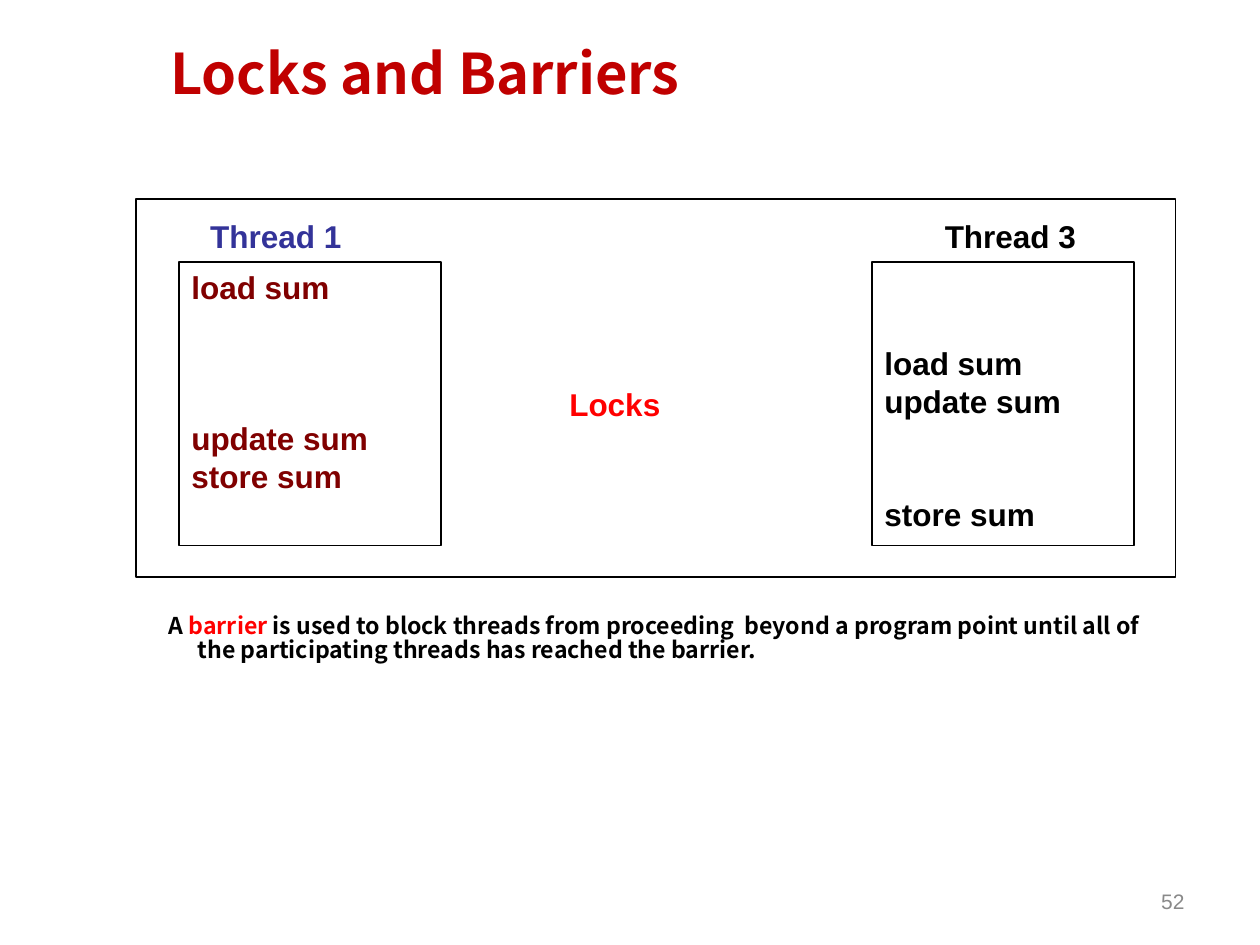
"""Build the slide on locks and barriers."""
from dataclasses import dataclass

from pptx import Presentation
from pptx.dml.color import RGBColor
from pptx.enum.shapes import MSO_SHAPE
from pptx.enum.text import MSO_ANCHOR, PP_ALIGN
from pptx.util import Inches, Pt

LINE = 21.6


@dataclass
class Step:
    """A line of a thread, with the number of idle lines before it."""
    text: str
    idle: int = 0


@dataclass
class Thread:
    """A thread with its box and its label."""
    name: str
    left: float
    label: float
    hue: str
    ink: str
    steps: list[Step]


THREADS = [
    Thread("Thread 1", 1.42, 1.57, "333399", "800000",
           [Step("load sum"), Step("update sum", 3), Step("store sum")]),
    Thread("Thread 3", 6.92, 7.4, "000000", "000000",
           [Step("load sum", 2), Step("update sum"), Step("store sum", 2)]),
]


def style(font, size: float, ink: str, face: str = "Arial", bold: bool = True) -> None:
    """Set size, colour, face and weight of a font."""
    font.size, font.name, font.bold = Pt(size), face, bold
    font.color.rgb = RGBColor.from_string(ink)


def add_frame(slide, left: float, top: float, wide: float, high: float):
    """Draw a hollow black rectangle."""
    shape = slide.shapes.add_shape(
        MSO_SHAPE.RECTANGLE, Inches(left), Inches(top), Inches(wide), Inches(high))
    shape.shadow.inherit = False
    shape.fill.background()
    shape.line.color.rgb = RGBColor.from_string("000000")
    shape.line.width = Pt(1)
    return shape


def add_label(slide, text: str, left: float, top: float, wide: float, ink: str,
              size: float = 18, bold: bool = True):
    """Add one line of text and return its frame."""
    box = slide.shapes.add_textbox(Inches(left), Inches(top), Inches(wide), Inches(0.4))
    frame = box.text_frame
    frame.word_wrap = False
    frame.text = text
    style(frame.paragraphs[0].runs[0].font, size, ink, bold=bold)
    return frame


def add_thread(slide, thread: Thread) -> None:
    """Draw a thread's box, steps and label."""
    frame = add_frame(slide, thread.left, 2.08, 2.08, 2.25).text_frame
    frame.word_wrap = True
    frame.vertical_anchor = MSO_ANCHOR.TOP
    frame.margin_top = Inches(0.05 + thread.steps[0].idle * LINE / 72)
    frame.text = "\n".join(step.text for step in thread.steps)
    for row, (para, step) in enumerate(zip(frame.paragraphs, thread.steps)):
        para.alignment = PP_ALIGN.LEFT
        if row and step.idle:
            para.space_before = Pt(step.idle * LINE)
        style(para.runs[0].font, 18, thread.ink)
    add_label(slide, thread.name, thread.label, 1.67, 1.24, thread.hue)


def add_title(slide, text: str) -> None:
    """Place and format the title."""
    title = slide.shapes.title
    title.left, title.top = Inches(1.25), Inches(0)
    title.width, title.height = Inches(8.56), Inches(1.14)
    frame = title.text_frame
    frame.text = text
    frame.vertical_anchor = MSO_ANCHOR.MIDDLE
    para = frame.paragraphs[0]
    para.alignment = PP_ALIGN.LEFT
    style(para.runs[0].font, 32, "C00000", "Noto Sans CJK KR")


def add_note(slide) -> None:
    """Add the sentence that defines a barrier."""
    box = slide.shapes.add_textbox(Inches(0.67), Inches(4.48), Inches(8.75), Inches(1.18))
    frame = box.text_frame
    frame.word_wrap = True
    frame.margin_top, frame.margin_right = Inches(0.41), Inches(0.15)
    para = frame.paragraphs[0]
    para.line_spacing = 0.85
    props = para._p.get_or_add_pPr()
    props.set("marL", str(Inches(0.8)))
    props.set("indent", str(Inches(-0.23)))
    parts = [
        ("A ", "000000"),
        ("barrier", "FF0000"),
        (" is used to block threads from proceeding  beyond a program point until "
         "all of the participating threads has reached the barrier.", "000000"),
    ]
    for text, ink in parts:
        run = para.add_run()
        run.text = text
        style(run.font, 13.2, ink, "Noto Sans CJK SC")


def main() -> None:
    """Build and save the deck."""
    deck = Presentation()
    deck.slide_width, deck.slide_height = Inches(10), Inches(7.5)
    slide = deck.slides.add_slide(deck.slide_layouts[5])
    add_title(slide, "Locks and Barriers")
    add_frame(slide, 1.08, 1.58, 8.25, 3)
    for thread in THREADS:
        add_thread(slide, thread)
    add_note(slide)
    add_label(slide, "Locks", 4.42, 3.01, 0.92, "FF0000")
    page = add_label(slide, "52", 7.17, 6.95, 2.33, "898989", 12, False)
    page.word_wrap = True
    page.vertical_anchor = MSO_ANCHOR.MIDDLE
    page.paragraphs[0].alignment = PP_ALIGN.RIGHT
    deck.save("out.pptx")


if __name__ == "__main__":
    main()
